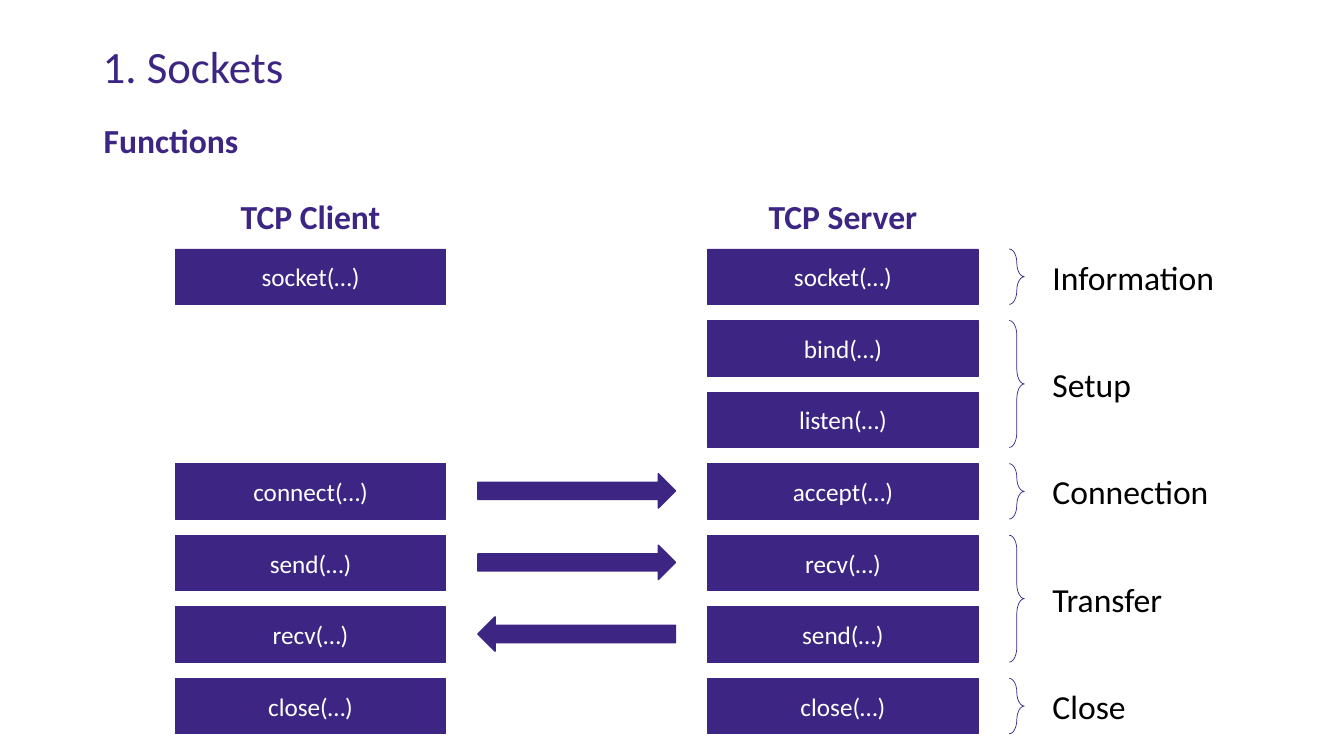
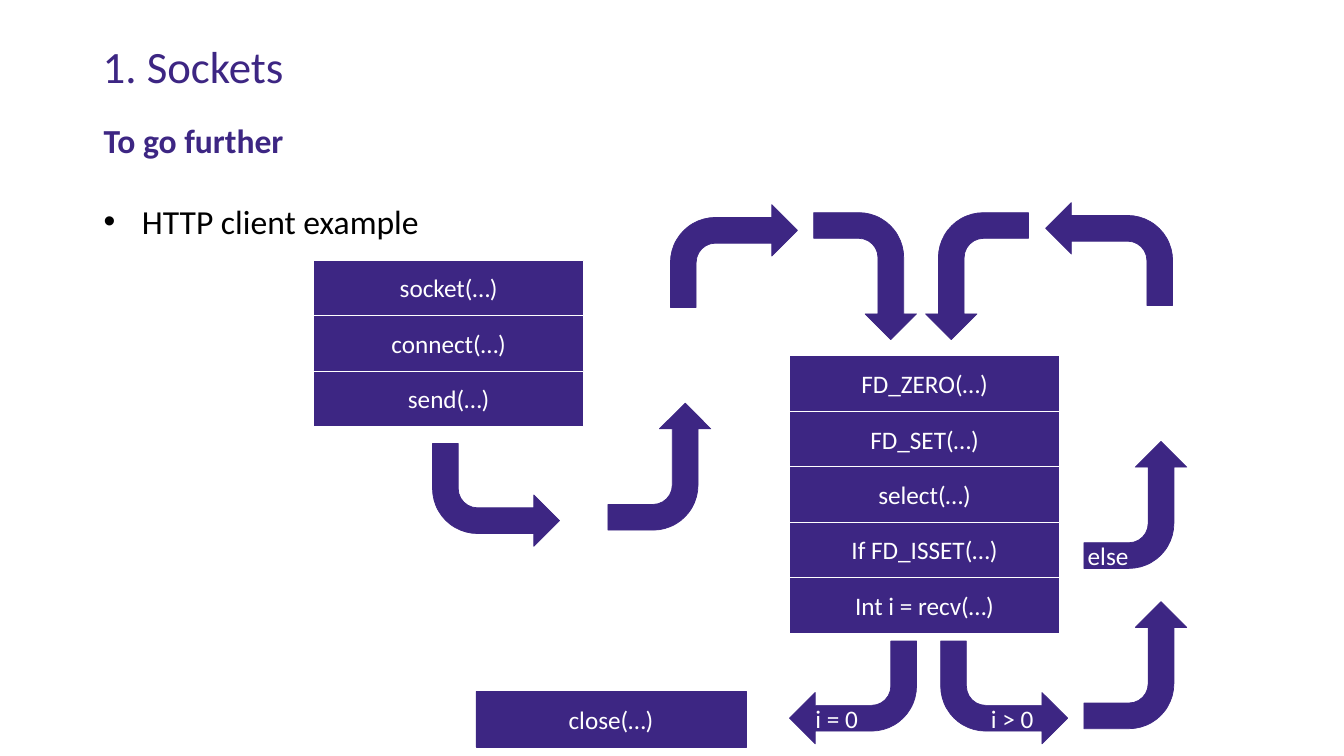
"""Build two slides on TCP socket functions and an HTTP client loop."""
from lxml import etree
from pptx import Presentation
from pptx.dml.color import RGBColor
from pptx.enum.shapes import MSO_SHAPE
from pptx.enum.text import MSO_ANCHOR, PP_ALIGN
from pptx.oxml.ns import qn
from pptx.util import Inches, Pt

RECTANGLE = MSO_SHAPE.RECTANGLE
RIGHT_ARROW = MSO_SHAPE.RIGHT_ARROW
BENT_ARROW = MSO_SHAPE.BENT_ARROW
RIGHT_BRACE = MSO_SHAPE.RIGHT_BRACE
LEFT, CENTER = PP_ALIGN.LEFT, PP_ALIGN.CENTER
MIDDLE = MSO_ANCHOR.MIDDLE

FONT = "Calibri"
PURPLE, WHITE, BLACK = "3D2683", "FFFFFF", "000000"
TITLE = "1. Sockets"
BOX_W, BOX_H = 2.68, 0.55

# Slide 1: client call, arrow rotation, server call
CLIENT_X, SERVER_X, CALLS_Y, CALL_PITCH = 1.74, 7.02, 2.47, 0.71
COLUMNS = [("TCP Client", CLIENT_X), ("TCP Server", SERVER_X)]
CALLS = [
    ("socket(…)", None, "socket(…)"),
    (None, None, "bind(…)"),
    (None, None, "listen(…)"),
    ("connect(…)", 0, "accept(…)"),
    ("send(…)", 0, "recv(…)"),
    ("recv(…)", 180, "send(…)"),
    ("close(…)", None, "close(…)"),
]
STAGES = [("Information", 1), ("Setup", 2), ("Connection", 1), ("Transfer", 2), ("Close", 1)]

# Slide 2: left, top, calls / left, top, rotation, flip / text, left, top
STACKS = [
    (3.11, 2.58, ["socket(…)", "connect(…)", "send(…)"]),
    (7.83, 3.53, ["FD_ZERO(…)", "FD_SET(…)", "select(…)", "If FD_ISSET(…)", "Int i = recv(…)"]),
]
TURNS = [
    (4.29, 4.4, 180, "flipH"),
    (5.91, 4.12, 270, "flipV"),
    (6.65, 2.03, 0, None),
    (7.95, 2.23, 90, None),
    (7.83, 6.36, 180, None),
    (9.33, 6.36, 180, "flipH"),
    (10.63, 6.09, 270, "flipV"),
    (10.63, 4.5, 270, "flipV"),
    (10.37, 2.01, 180, "flipV"),
    (9.06, 2.23, 90, "flipV"),
]
BRANCHES = [("i = 0", 7.99, 6.93), ("i > 0", 9.73, 6.93), ("else", 10.69, 5.31)]


def rgb(value):
    return RGBColor.from_string(value)


def format_paragraph(paragraph, size, color, bold=False, align=LEFT):
    paragraph.alignment = align
    for run in paragraph.runs:
        run.font.name = FONT
        run.font.size = Pt(size)
        run.font.bold = bold
        run.font.color.rgb = rgb(color)


def add_label(slide, text, left, top, width, height, size, color, bold=False, align=LEFT):
    label = slide.shapes.add_textbox(Inches(left), Inches(top), Inches(width), Inches(height))
    label.text_frame.word_wrap = True
    label.text_frame.text = text
    format_paragraph(label.text_frame.paragraphs[0], size, color, bold, align)
    return label.text_frame


def add_figure(slide, kind, left, top, width, height, fill=PURPLE, line=PURPLE, weight=0.5):
    figure = slide.shapes.add_shape(kind, Inches(left), Inches(top), Inches(width), Inches(height))
    figure.shadow.inherit = False
    if fill:
        figure.fill.solid()
        figure.fill.fore_color.rgb = rgb(fill)
    else:
        figure.fill.background()
    figure.line.color.rgb = rgb(line)
    figure.line.width = Pt(weight)
    return figure


def add_call(slide, text, left, top, line=PURPLE):
    call = add_figure(slide, RECTANGLE, left, top, BOX_W, BOX_H, line=line)
    call.text_frame.text = text
    call.text_frame.vertical_anchor = MIDDLE
    format_paragraph(call.text_frame.paragraphs[0], 18, WHITE, align=CENTER)


def add_turn(slide, left, top, rotation, flip):
    turn = add_figure(slide, BENT_ARROW, left, top, 1.26, 1.02)
    turn.rotation = rotation
    if flip:
        turn._element.spPr.find(qn("a:xfrm")).set(flip, "1")


def add_bullet(frame, text):
    bullet = frame.add_paragraph()
    bullet.text = text
    bullet.space_before = Pt(29)
    format_paragraph(bullet, 24, BLACK)
    properties = bullet._p.get_or_add_pPr()
    properties.set("marL", str(Inches(0.38)))
    properties.set("indent", str(-Inches(0.38)))
    etree.SubElement(properties, qn("a:buFont")).set("typeface", "Arial")
    etree.SubElement(properties, qn("a:buChar")).set("char", "•")


def start_slide(prs, heading, height):
    slide = prs.slides.add_slide(prs.slide_layouts[6])
    title = add_label(slide, TITLE, 0.92, 0.4, 11.5, 0.63, 32, PURPLE)
    title.paragraphs[0].line_spacing = 0.9
    return slide, add_label(slide, heading, 0.93, 1.14, 11.7, height, 24, PURPLE, bold=True)


def build_functions(prs):
    slide, _ = start_slide(prs, "Functions", 0.5)
    for name, left in COLUMNS:
        add_label(slide, name, left, 1.89, BOX_W, 0.5, 24, PURPLE, bold=True, align=CENTER)
    for row, (client, rotation, server) in enumerate(CALLS):
        top = CALLS_Y + row * CALL_PITCH
        if client:
            add_call(slide, client, CLIENT_X, top)
        add_call(slide, server, SERVER_X, top)
        if rotation is not None:
            arrow = add_figure(slide, RIGHT_ARROW, 4.74, top + 0.1, 1.96, 0.34, weight=1)
            arrow.rotation = rotation
    top = CALLS_Y
    for name, rows in STAGES:
        height = (rows - 1) * CALL_PITCH + BOX_H
        brace = add_figure(slide, RIGHT_BRACE, 10.01, top, 0.15, height, fill=None)
        brace.adjustments[0] = 0.98
        add_label(slide, name, 10.34, top + height / 2 - 0.25, 2, 0.5, 24, BLACK)
        top += rows * CALL_PITCH


def build_client_example(prs):
    slide, body = start_slide(prs, "To go further", 1.31)
    add_bullet(body, "HTTP client example")
    for left, top, calls in STACKS:
        for row, call in enumerate(calls):
            add_call(slide, call, left, top + row * BOX_H, line=WHITE)
    add_call(slide, "close(…)", 4.72, 6.86)
    for turn in TURNS:
        add_turn(slide, *turn)
    for text, left, top in BRANCHES:
        add_label(slide, text, left, top, 0.8, 0.4, 18, WHITE)


def main():
    prs = Presentation()
    prs.slide_width, prs.slide_height = Inches(13.33), Inches(7.5)
    build_functions(prs)
    build_client_example(prs)
    prs.save("out.pptx")


if __name__ == "__main__":
    main()
